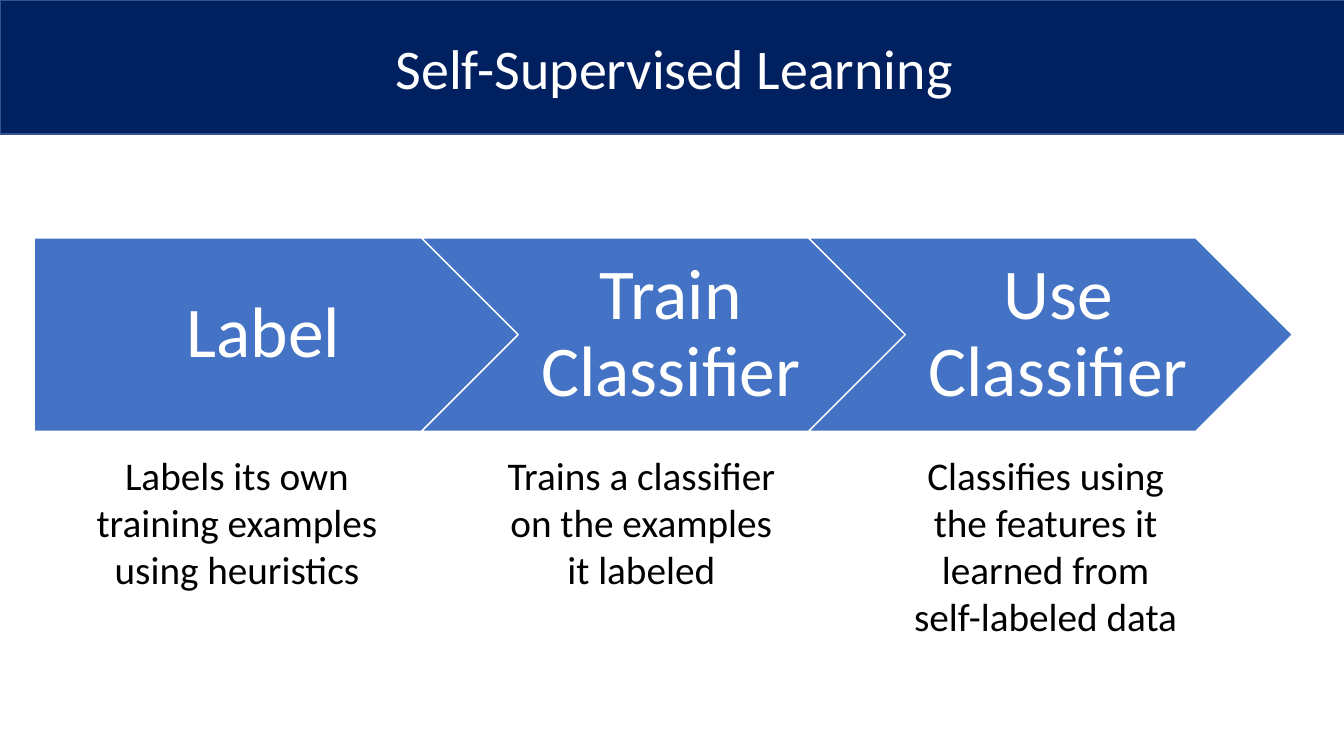
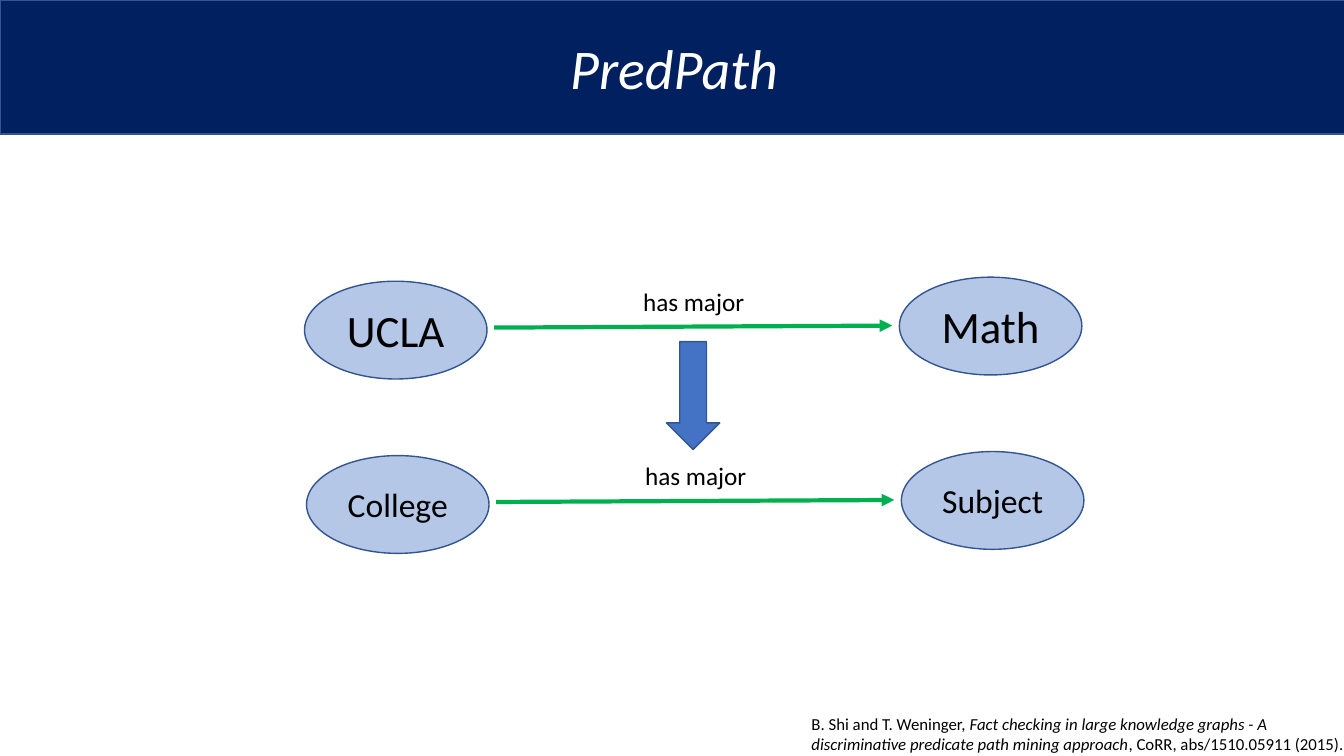
from dataclasses import dataclass

from lxml import etree
from pptx import Presentation
from pptx.dml.color import RGBColor
from pptx.enum.shapes import MSO_CONNECTOR, MSO_SHAPE
from pptx.enum.text import MSO_ANCHOR, PP_ALIGN
from pptx.oxml.ns import qn
from pptx.shapes.autoshape import Shape
from pptx.slide import Slide
from pptx.util import Inches, Pt

RECTANGLE, ELLIPSE = MSO_SHAPE.RECTANGLE, MSO_SHAPE.OVAL
PENTAGON, CHEVRON = MSO_SHAPE.PENTAGON, MSO_SHAPE.CHEVRON
DOWN_ARROW, STRAIGHT = MSO_SHAPE.DOWN_ARROW, MSO_CONNECTOR.STRAIGHT
TOP, MIDDLE = MSO_ANCHOR.TOP, MSO_ANCHOR.MIDDLE
LEFT, CENTER = PP_ALIGN.LEFT, PP_ALIGN.CENTER

Box = tuple[float, float, float, float]
Runs = list[tuple[str, bool]]  # text and whether it is italic


@dataclass(frozen=True)
class Theme:
    font: str = "Calibri"
    navy: str = "002060"
    blue: str = "4472C4"
    pale_blue: str = "B4C7E7"
    outline: str = "325491"
    green: str = "00B050"
    white: str = "FFFFFF"
    black: str = "000000"
    title_size: int = 40
    step_size: int = 51
    body_size: int = 28
    instance_size: int = 32
    type_size: int = 24
    relation_size: int = 18
    citation_size: int = 12


@dataclass(frozen=True)
class Step:
    name: str
    description: str
    outline: MSO_SHAPE
    left_inset: float
    description_left: float
    description_height: float


@dataclass(frozen=True)
class Triple:
    subject: str
    target: str
    size: int
    left: float
    top: float


THEME = Theme()

STEPS = [
    Step("Label", "Labels its own training examples using heuristics",
         PENTAGON, 0.3, 0.85, 1.51),
    Step("Train Classifier", "Trains a classifier on the examples it labeled",
         CHEVRON, 0.22, 4.86, 1.51),
    Step("Use Classifier",
         "Classifies using the features it learned from self-labeled data",
         CHEVRON, 0.22, 8.87, 1.99),
]

TRIPLES = [
    Triple("UCLA", "Math", THEME.instance_size, 3.02, 2.79),
    Triple("College", "Subject", THEME.type_size, 3.04, 4.52),
]

CITATION: Runs = [
    ("B. Shi and T. Weninger, ", False),
    ("Fact checking in large knowledge graphs - A discriminative "
     "predicate path mining approach", True),
    (", CoRR, abs/1510.05911 (2015).", False),
]


def write_text(shape: Shape, text: str | Runs, *, size: int,
               color: str = THEME.black, italic: bool = False,
               align: PP_ALIGN = CENTER, anchor: MSO_ANCHOR = MIDDLE,
               line_spacing: float = 1.0,
               insets: Box = (0.1, 0.05, 0.1, 0.05)) -> None:
    frame = shape.text_frame
    frame.word_wrap = True
    frame.vertical_anchor = anchor
    frame.margin_left, frame.margin_top, frame.margin_right, \
        frame.margin_bottom = map(Inches, insets)
    paragraph = frame.paragraphs[0]
    paragraph.alignment = align
    paragraph.line_spacing = line_spacing
    for content, slanted in [(text, italic)] if isinstance(text, str) else text:
        run = paragraph.add_run()
        run.text = content
        run.font.name = THEME.font
        run.font.size = Pt(size)
        run.font.italic = slanted
        run.font.color.rgb = RGBColor.from_string(color)


def add_figure(slide: Slide, kind: MSO_SHAPE, box: Box, fill: str,
               line: str = THEME.outline) -> Shape:
    shape = slide.shapes.add_shape(kind, *map(Inches, box))
    shape.shadow.inherit = False
    shape.fill.solid()
    shape.fill.fore_color.rgb = RGBColor.from_string(fill)
    shape.line.color.rgb = RGBColor.from_string(line)
    shape.line.width = Pt(1)
    return shape


def add_label(slide: Slide, box: Box, text: str | Runs, *, size: int,
              align: PP_ALIGN = CENTER) -> None:
    label = slide.shapes.add_textbox(*map(Inches, box))
    write_text(label, text, size=size, align=align, anchor=TOP)


def add_arrow(slide: Slide, start: tuple[float, float],
              end: tuple[float, float]) -> None:
    arrow = slide.shapes.add_connector(STRAIGHT, *map(Inches, start + end))
    arrow.line.color.rgb = RGBColor.from_string(THEME.green)
    arrow.line.width = Pt(3)
    etree.SubElement(arrow.line._get_or_add_ln(), qn("a:tailEnd"), type="triangle")
    etree.SubElement(arrow._element.spPr, qn("a:effectLst"))


def add_titled_slide(presentation: Presentation, title: str,
                     italic: bool = False) -> Slide:
    slide = presentation.slides.add_slide(presentation.slide_layouts[6])
    band = add_figure(slide, RECTANGLE, (0, 0, 13.37, 1.33), THEME.navy)
    write_text(band, title, size=THEME.title_size, color=THEME.white, italic=italic)
    return slide


def add_step(slide: Slide, index: int, step: Step) -> None:
    width, overlap = 4.8, 0.96
    left = 0.34 + index * (width - overlap)
    figure = add_figure(slide, step.outline, (left, 2.36, width, 1.92),
                        THEME.blue, THEME.white)
    write_text(figure, step.name, size=THEME.step_size, color=THEME.white,
               line_spacing=0.9, insets=(step.left_inset, 0.15, 0.07, 0.15))
    add_label(slide, (step.description_left, 4.43, 3, step.description_height),
              step.description, size=THEME.body_size)


def add_triple(slide: Slide, triple: Triple) -> None:
    left, top = triple.left, triple.top
    nodes = [(triple.subject, left, top), (triple.target, left + 5.9, top - 0.04)]
    for name, node_left, node_top in nodes:
        node = add_figure(slide, ELLIPSE, (node_left, node_top, 1.81, 0.97),
                          THEME.pale_blue)
        write_text(node, name, size=triple.size)
    add_arrow(slide, (left + 1.88, top + 0.46), (left + 5.83, top + 0.44))
    add_label(slide, (left + 2.36, top, 3, 0.4), "has major",
              size=THEME.relation_size)


def main() -> None:
    presentation = Presentation()
    presentation.slide_width = Inches(13.33)
    presentation.slide_height = Inches(7.5)

    # Process of three steps
    slide = add_titled_slide(presentation, "Self-Supervised Learning")
    for index, step in enumerate(STEPS):
        add_step(slide, index, step)

    # Generalising a fact to its types
    slide = add_titled_slide(presentation, "PredPath", italic=True)
    add_label(slide, (7.95, 7.03, 5.6, 0.5), CITATION,
              size=THEME.citation_size, align=LEFT)
    for triple in TRIPLES:
        add_triple(slide, triple)
    add_figure(slide, DOWN_ARROW, (6.61, 3.39, 0.53, 1.07), THEME.blue)

    presentation.save("out.pptx")


if __name__ == "__main__":
    main()
